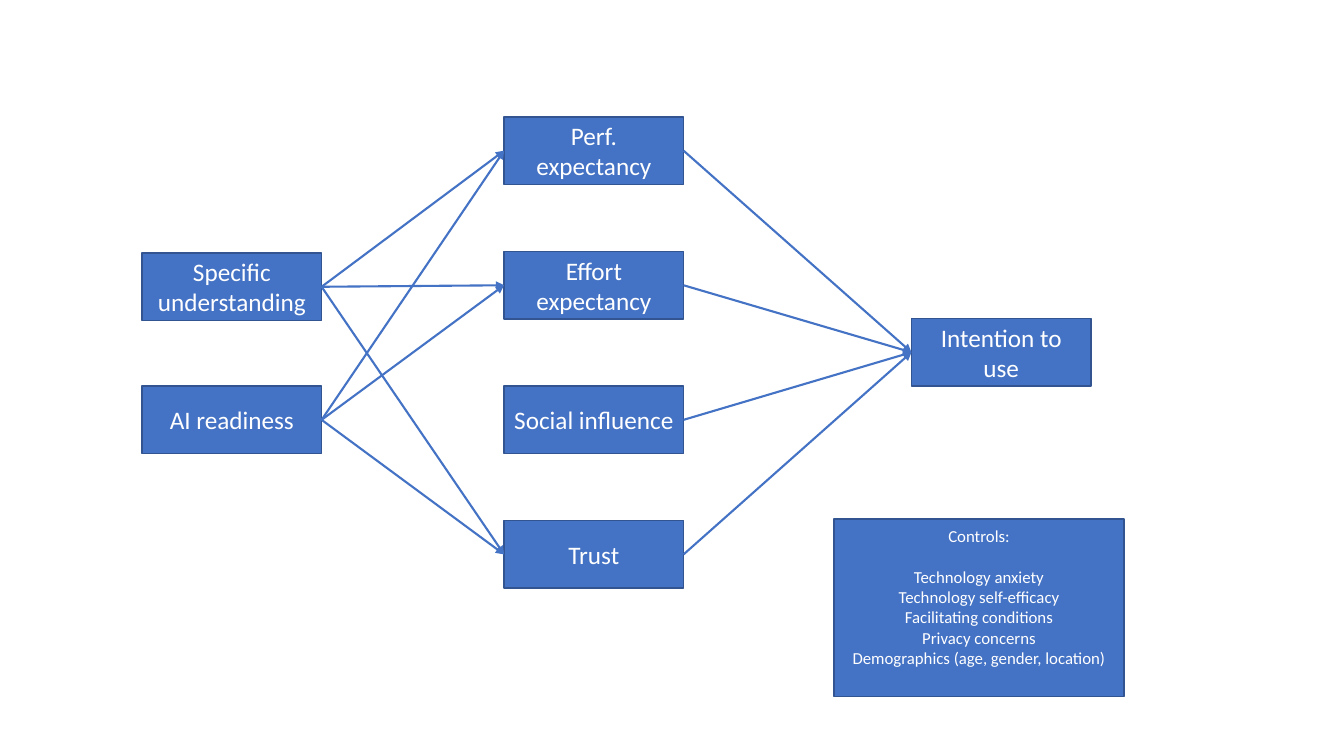
from dataclasses import dataclass

from lxml import etree
from pptx import Presentation
from pptx.dml.color import RGBColor
from pptx.enum.shapes import MSO_CONNECTOR, MSO_SHAPE
from pptx.enum.text import MSO_ANCHOR, PP_ALIGN
from pptx.oxml.ns import qn
from pptx.util import Inches, Pt

RECT = MSO_SHAPE.RECTANGLE
STRAIGHT = MSO_CONNECTOR.STRAIGHT
CENTER = PP_ALIGN.CENTER
MIDDLE, TOP = MSO_ANCHOR.MIDDLE, MSO_ANCHOR.TOP
LEFT_SITE, RIGHT_SITE = 1, 3


@dataclass(frozen=True)
class Theme:
    """Colours, font and sizes of the slide."""
    fill: RGBColor = RGBColor(0x44, 0x72, 0xC4)
    border: RGBColor = RGBColor(0x32, 0x54, 0x91)
    text: RGBColor = RGBColor(0xFF, 0xFF, 0xFF)
    font: str = "Calibri"
    construct_size: int = 18
    controls_size: int = 12
    border_width: float = 1
    arrow_width: float = 1.5


THEME = Theme()
BOX_W, BOX_H = 1.78, 0.67
MEDIATOR_X, MEDIATOR_TOP, MEDIATOR_STEP = 5, 1.16, 1.335
MEDIATORS = ["Perf. expectancy", "Effort expectancy", "Social influence", "Trust"]
PREDICTOR_X = 1.41
PREDICTORS = [("Specific understanding", 2.51), ("AI readiness", 3.83)]
CONTROLS = ["Technology anxiety", "Technology self-efficacy",
            "Facilitating conditions", "Privacy concerns",
            "Demographics (age, gender, location)"]


def add_box(s, x, y, w, h, lines, size, anchor=MIDDLE):
    """Add a bordered rectangle with one centred paragraph per line."""
    sp = s.shapes.add_shape(RECT, Inches(x), Inches(y), Inches(w), Inches(h))
    sp.shadow.inherit = False
    sp.fill.solid()
    sp.fill.fore_color.rgb = THEME.fill
    sp.line.color.rgb = THEME.border
    sp.line.width = Pt(THEME.border_width)
    tf = sp.text_frame
    tf.word_wrap = True
    tf.vertical_anchor = anchor
    for i, line in enumerate(lines):
        p = tf.add_paragraph() if i else tf.paragraphs[0]
        p.alignment = CENTER
        r = p.add_run()
        r.text = line
        r.font.name = THEME.font
        r.font.size = Pt(size)
        r.font.color.rgb = THEME.text
    return sp


def add_construct(s, x, y, label):
    """Add one construct of the research model."""
    return add_box(s, x, y, BOX_W, BOX_H, [label], THEME.construct_size)


def add_controls(s):
    """Add the control variables below a spaced heading."""
    sp = add_box(s, 8.27, 5.15, 2.88, 1.76, ["Controls:", *CONTROLS],
                 THEME.controls_size, TOP)
    tf = sp.text_frame
    tf.margin_top = Inches(0.07)
    tf.paragraphs[0].space_after = Pt(14.6)


def add_arrow(s, source, target):
    """Link the right side of source to the left side of target."""
    c = s.shapes.add_connector(STRAIGHT, 0, 0, 0, 0)
    c.begin_connect(source, RIGHT_SITE)
    c.end_connect(target, LEFT_SITE)
    c.line.color.rgb = THEME.fill
    c.line.width = Pt(THEME.arrow_width)
    etree.SubElement(c.line._get_or_add_ln(), qn("a:tailEnd"), type="triangle")
    etree.SubElement(c._element.spPr, qn("a:effectLst"))


def main():
    """Build the research model slide."""
    prs = Presentation()
    prs.slide_width, prs.slide_height = Inches(13.33), Inches(7.5)
    s = prs.slides.add_slide(prs.slide_layouts[6])

    mediators = [add_construct(s, MEDIATOR_X, MEDIATOR_TOP + i * MEDIATOR_STEP, label)
                 for i, label in enumerate(MEDIATORS)]
    intention = add_construct(s, 9.04, 3.16, "Intention to use")
    predictors = [add_construct(s, PREDICTOR_X, y, label) for label, y in PREDICTORS]

    performance, effort, _, trust = mediators
    for predictor in predictors:
        for mediator in (performance, effort, trust):
            add_arrow(s, predictor, mediator)
    for mediator in reversed(mediators):
        add_arrow(s, mediator, intention)

    add_controls(s)
    prs.save("out.pptx")


main()
